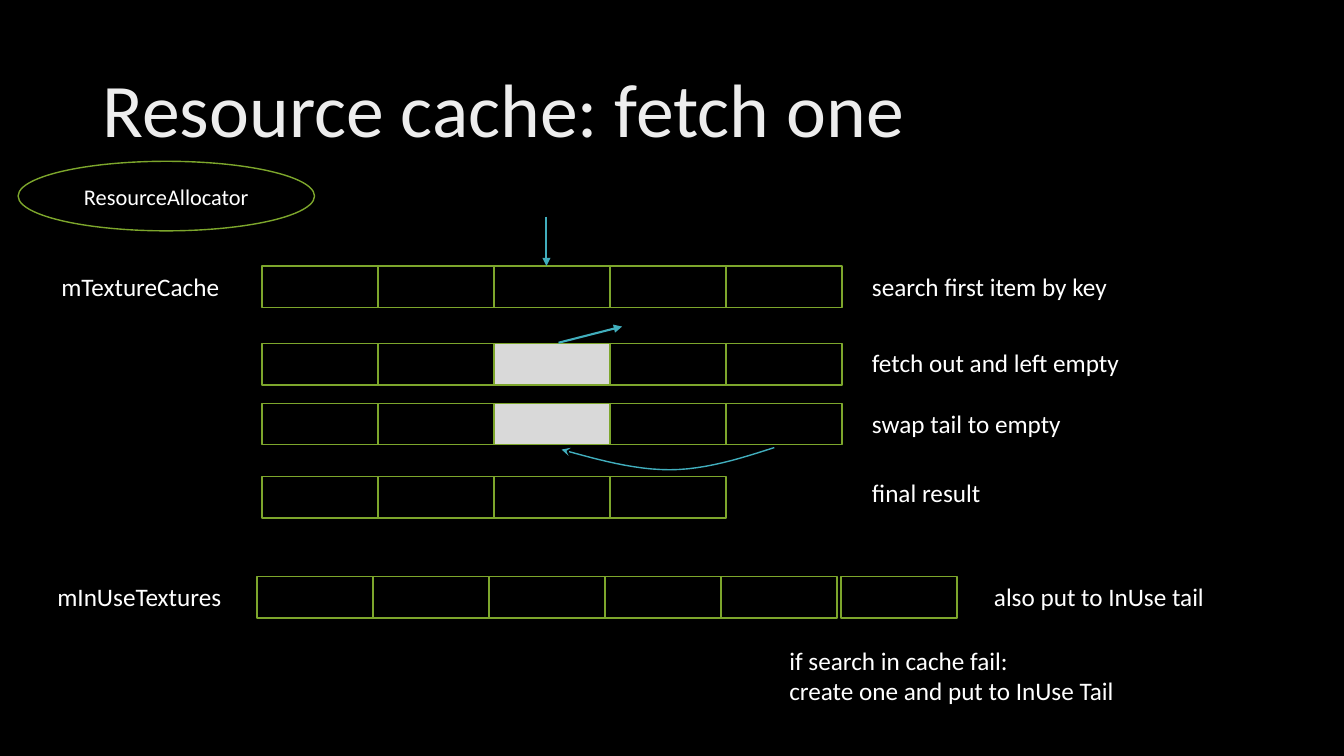
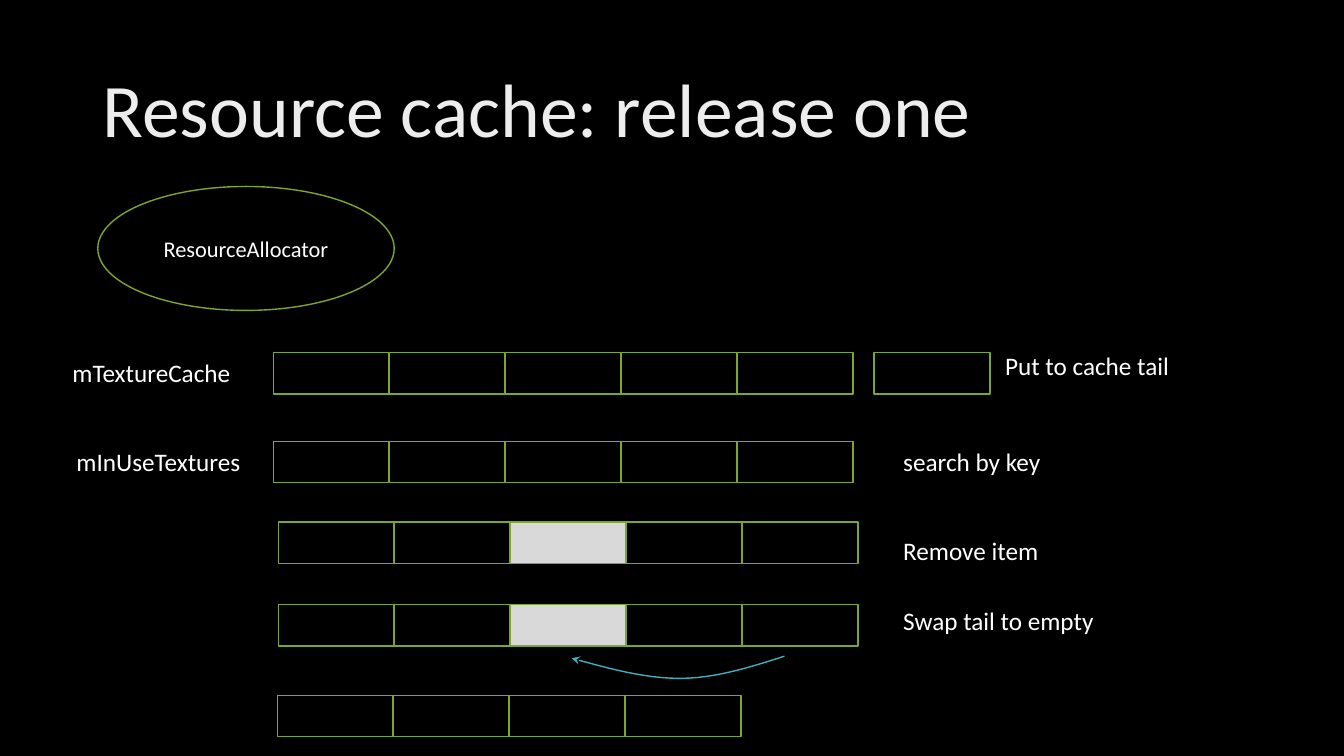
from lxml import etree
from pptx import Presentation
from pptx.dml.color import RGBColor
from pptx.enum.shapes import MSO_CONNECTOR, MSO_SHAPE
from pptx.enum.text import MSO_ANCHOR, PP_ALIGN
from pptx.oxml.ns import qn
from pptx.util import Inches, Pt

BLACK = RGBColor(0x00, 0x00, 0x00)
WHITE = RGBColor(0xFF, 0xFF, 0xFF)
TITLE_GREY = RGBColor(0xED, 0xED, 0xED)
EMPTY_GREY = RGBColor(0xD9, 0xD9, 0xD9)
GREEN = RGBColor(0x7D, 0xA6, 0x2C)
TEAL = RGBColor(0x41, 0xAE, 0xBD)
FONT = "Calibri"

CELL_WIDTH, CELL_HEIGHT = 1.15, 0.41
EMPTY_CELL = 2
TITLE_BOX = (0.92, 0.4, 11.5, 1.45)
SWAP_START = (0, 0)
SWAP_CURVES = [
    [(-0.34, 0.11), (-0.69, 0.22), (-1.04, 0.22)],
    [(-1.39, 0.22), (-1.75, 0.12), (-2.11, 0.02)],
]
CURVE_STEPS = 12

# rows: left, top, cell count, has an empty cell
# labels: left, top, width, lines
SLIDES = [
    {
        "title": "Resource cache: fetch one",
        "allocator": (0.18, 1.6, 2.94, 0.69),
        "rows": [
            (2.6, 2.64, 5, False),
            (2.55, 5.72, 5, False),
            (2.6, 3.41, 5, True),
            (2.6, 4.0, 5, True),
            (2.6, 4.73, 4, False),
            (8.34, 5.72, 1, False),
        ],
        "labels": [
            (0.51, 2.64, 1.88, ["mTextureCache"]),
            (0.47, 5.72, 1.92, ["mInUseTextures"]),
            (8.55, 2.64, 2.64, ["search first item by key"]),
            (8.55, 3.4, 3, ["fetch out and left empty"]),
            (8.55, 4.0, 3, ["swap tail to empty"]),
            (8.55, 4.69, 3, ["final result"]),
            (9.76, 5.72, 2.77, ["also put to InUse tail"]),
            (7.73, 6.35, 3.52, ["if search in cache fail:", "create one and put to InUse Tail"]),
        ],
        "arrows": [(5.42, 2.15, 5.42, 2.64), (5.54, 3.4, 6.17, 3.24)],
        "swap": (7.68, 4.44),
    },
    {
        "title": "Resource cache: release one",
        "allocator": (0.97, 1.85, 2.94, 1.23),
        "rows": [
            (2.71, 3.5, 5, False),
            (2.71, 4.38, 5, False),
            (8.67, 3.5, 1, False),
            (2.76, 5.18, 5, True),
            (2.76, 6.0, 5, True),
            (2.75, 6.9, 4, False),
        ],
        "labels": [
            (0.62, 3.5, 1.88, ["mTextureCache"]),
            (0.66, 4.38, 1.92, ["mInUseTextures"]),
            (9.87, 3.43, 2.64, ["Put to cache tail"]),
            (8.86, 4.38, 2.64, ["search by key"]),
            (8.86, 5.26, 2.64, ["Remove item"]),
            (8.86, 5.96, 2.64, ["Swap tail to empty"]),
        ],
        "arrows": [],
        "swap": (7.78, 6.51),
    },
]


def inches(values):
    return [Inches(value) for value in values]


def write(shape, lines, size, color, align=PP_ALIGN.LEFT, anchor=MSO_ANCHOR.TOP, spacing=None):
    frame = shape.text_frame
    frame.text = "\n".join(lines)
    frame.word_wrap = True
    frame.vertical_anchor = anchor
    for paragraph in frame.paragraphs:
        paragraph.alignment = align
        paragraph.line_spacing = spacing
        for run in paragraph.runs:
            run.font.name = FONT
            run.font.size = Pt(size)
            run.font.color.rgb = color


def add_outlined(shapes, preset, box, fill=None):
    outlined = shapes.add_shape(preset, *inches(box))
    outlined.shadow.inherit = False
    if fill is None:
        outlined.fill.background()
    else:
        outlined.fill.solid()
        outlined.fill.fore_color.rgb = fill
    outlined.line.color.rgb = GREEN
    outlined.line.width = Pt(1)
    return outlined


def add_row(slide, left, top, count, has_empty):
    row = slide.shapes.add_group_shape() if count > 1 else slide
    for index in range(count):
        fill = EMPTY_GREY if has_empty and index == EMPTY_CELL else None
        box = (left + index * CELL_WIDTH, top, CELL_WIDTH, CELL_HEIGHT)
        add_outlined(row.shapes, MSO_SHAPE.RECTANGLE, box, fill)


def add_label(slide, left, top, width, lines):
    height = 0.1 + 0.3 * len(lines)
    label = slide.shapes.add_textbox(*inches((left, top, width, height)))
    write(label, lines, 18, WHITE)


def style_arrow(arrow, width, head):
    arrow.line.color.rgb = TEAL
    arrow.line.width = Pt(width)
    etree.SubElement(arrow.line._get_or_add_ln(), qn("a:tailEnd"), type=head)


def add_arrow(slide, ends):
    arrow = slide.shapes.add_connector(MSO_CONNECTOR.STRAIGHT, *inches(ends))
    style_arrow(arrow, 1.5, "triangle")
    etree.SubElement(arrow._element.spPr, qn("a:effectLst"))


def bezier(p0, p1, p2, p3, t):
    u = 1 - t
    return tuple(
        u**3 * a + 3 * u**2 * t * b + 3 * u * t**2 * c + t**3 * d
        for a, b, c, d in zip(p0, p1, p2, p3)
    )


def add_swap(slide, left, top):
    points = [SWAP_START]
    for curve in SWAP_CURVES:
        start = points[-1]
        points += [bezier(start, *curve, step / CURVE_STEPS) for step in range(1, CURVE_STEPS + 1)]
    places = [inches((left + x, top + y)) for x, y in points]
    builder = slide.shapes.build_freeform(*places[0])
    builder.add_line_segments(places[1:], close=False)
    swap = builder.convert_to_shape()
    swap.shadow.inherit = False
    swap.fill.background()
    style_arrow(swap, 1, "stealth")


def add_slide(prs, content):
    slide = prs.slides.add_slide(prs.slide_layouts[6])
    title = slide.shapes.add_textbox(*inches(TITLE_BOX))
    write(title, [content["title"]], 54, TITLE_GREY, anchor=MSO_ANCHOR.MIDDLE, spacing=0.9)
    allocator = add_outlined(slide.shapes, MSO_SHAPE.OVAL, content["allocator"])
    write(allocator, ["ResourceAllocator"], 16, WHITE, PP_ALIGN.CENTER, MSO_ANCHOR.MIDDLE)
    for row in content["rows"]:
        add_row(slide, *row)
    for label in content["labels"]:
        add_label(slide, *label)
    for ends in content["arrows"]:
        add_arrow(slide, ends)
    add_swap(slide, *content["swap"])


def main():
    prs = Presentation()
    prs.slide_width, prs.slide_height = Inches(13.33), Inches(7.5)
    backdrop = prs.slide_master.background.fill
    backdrop.solid()
    backdrop.fore_color.rgb = BLACK
    for content in SLIDES:
        add_slide(prs, content)
    prs.save("out.pptx")


if __name__ == "__main__":
    main()
